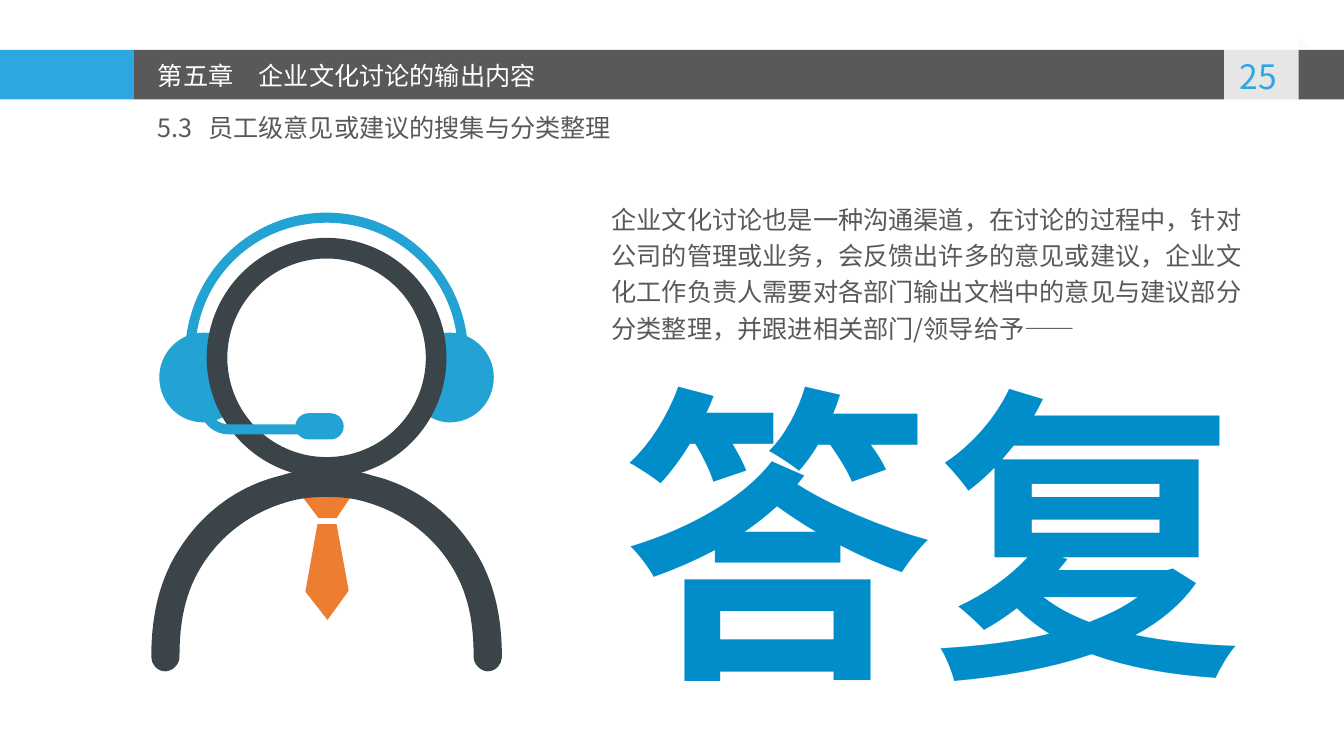
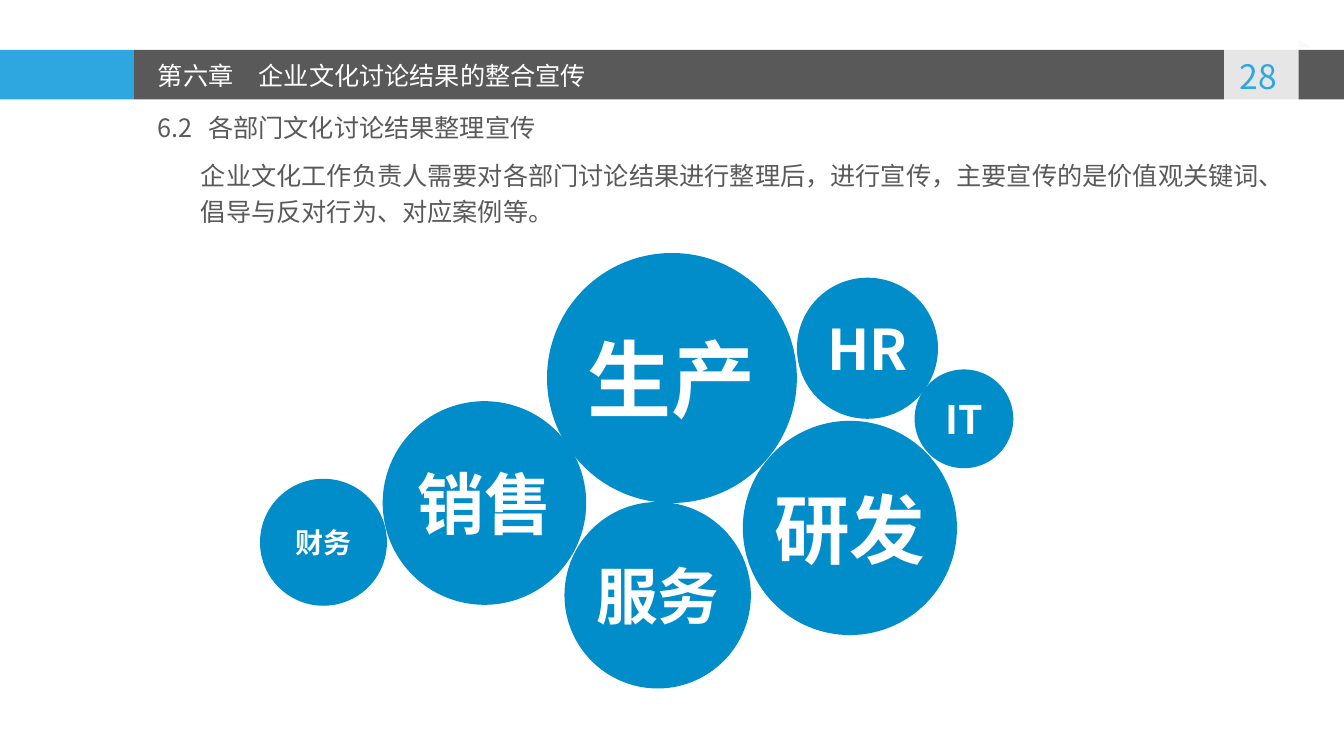
from lxml import etree
from pptx import Presentation
from pptx.dml.color import RGBColor
from pptx.enum.shapes import MSO_SHAPE
from pptx.enum.text import MSO_ANCHOR, MSO_AUTO_SIZE, PP_ALIGN
from pptx.oxml.ns import qn
from pptx.util import Inches, Pt

RECT, OVAL = MSO_SHAPE.RECTANGLE, MSO_SHAPE.OVAL
ROUND, DONUT = MSO_SHAPE.ROUNDED_RECTANGLE, MSO_SHAPE.DONUT
TRIANGLE = MSO_SHAPE.RIGHT_TRIANGLE
LEFT, CENTER = PP_ALIGN.LEFT, PP_ALIGN.CENTER
TOP, MIDDLE = MSO_ANCHOR.TOP, MSO_ANCHOR.MIDDLE
NO_FIT = MSO_AUTO_SIZE.NONE

FONT = "Noto Sans CJK SC"
COLORS = {
    "accent": "2EA7E0", "bar": "595959", "text": "595959", "white": "FFFFFF",
    "corner": "F8F8F8", "blue": "008DCA", "headset": "23A3D4",
    "body": "3B4449", "tie": "ED7D31",
}
W, H = Inches(13.34), Inches(7.5)
COL, ROW = W / 40, H / 30
UNIT = H / 750
AXIS, CROWN = 9.72 * COL, 8.44 * ROW
BAND_TOP, BAND_HEIGHT, BAND_SPLIT = 1.98, 1.96, 3.99

BUBBLES = [
    ("生产", 16.28, 10.04, 9.92, 60),
    ("研发", 22.11, 16.7, 8.5, 54),
    ("服务", 16.8, 19.92, 7.4, 44),
    ("销售", 11.39, 15.92, 8.08, 48),
    ("HR", 23.72, 11.02, 5.6, 40),
    ("财务", 7.74, 19, 5.04, 20),
    ("IT", 27.22, 14.66, 3.92, 28),
]

HEADBAND = [
    (0, 0), (-74, 0, -134, 57, -140, 130), (-130, 130),
    (-125, 62, -69, 10, 0, 10),
]
EARPHONE = [
    (-108, 153), (-108, 140, -114, 132, -107, 122),
    (-111, 120, -116, 119, -122, 119), (-147, 119, -166, 140, -166, 163),
    (-166, 188, -147, 208, -122, 208), (-114, 208, -106, 205, -100, 201),
    (-103, 190, -108, 170, -108, 153),
]
SHOULDER = [
    (0, 254), (-16, 254, -31, 256, -46, 261),
    (-88, 271, -124, 298, -147, 335), (-168, 368, -174, 405, -174, 441),
    (-174, 448, -168, 455, -160, 455), (-153, 455, -146, 448, -146, 441),
    (-146, 407, -141, 377, -123, 349), (-104, 319, -74, 297, -39, 287),
    (-26, 283, -13, 282, 0, 282),
]
TIE = [(-9, 309), (-21, 376), (1, 404), (22, 375), (10, 309)]
KNOT = [
    (-6, 276), (-12, 276, -18, 276, -24, 274), (-24, 282), (-8, 303),
    (10, 303), (24, 282), (24, 270), (15, 274, 5, 276, -6, 276),
]
BOOM = [
    (-97, 220), (-112, 220, -124, 209, -126, 195), (-116, 194),
    (-115, 203, -107, 210, -97, 210), (-25, 210), (-25, 220),
]


def grid(left, top, width, height):
    return (round(left * COL), round(top * ROW),
            round(width * COL), round(height * ROW))


def rgb(color):
    return RGBColor.from_string(COLORS[color])


def paint(sp, color, opacity=None):
    sp.shadow.inherit = False
    sp.fill.solid()
    sp.fill.fore_color.rgb = rgb(color)
    sp.line.fill.background()
    if opacity:
        clr = sp.element.spPr.find(".//" + qn("a:srgbClr"))
        etree.SubElement(clr, qn("a:alpha"), val=str(opacity * 1000))
    return sp


def add_shape(slide, kind, box, color, opacity=None):
    return paint(slide.shapes.add_shape(kind, *box), color, opacity)


def pairs(seg):
    return list(zip(seg[::2], seg[1::2]))


def add_outline(slide, path, place, color, opacity=None):
    segments = [[place(x, y) for x, y in pairs(seg)] for seg in path]
    builder = slide.shapes.build_freeform(*segments[0][0])
    builder.add_line_segments([seg[-1] for seg in segments[1:]], close=True)
    sp = builder.convert_to_shape()
    lines = sp.element.spPr.findall(".//" + qn("a:lnTo"))
    curves = [seg for seg in segments[1:]]
    for line, seg in zip(lines, curves):
        if len(seg) == 3:
            line.tag = qn("a:cubicBezTo")
            for i, (x, y) in enumerate(seg[:2]):
                pt = line.makeelement(qn("a:pt"), x=str(x - sp.left),
                                      y=str(y - sp.top))
                line.insert(i, pt)
    return paint(sp, color, opacity)


def mirror(path):
    ends = [seg[-2:] for seg in path]
    reverse = [(-ends[-1][0], ends[-1][1])]
    for seg, start in reversed(list(zip(path[1:], ends))):
        points = pairs(seg)[-2::-1] + [start]
        reverse.append(tuple(v for x, y in points for v in (-x, y)))
    return reverse


def write(sp, text, size, color, bold=False, align=LEFT, anchor=TOP,
          wrap=True, spacing=1, tab=None):
    tf = sp.text_frame
    tf.text = text
    tf.word_wrap = wrap
    tf.auto_size = NO_FIT
    tf.vertical_anchor = anchor
    p = tf.paragraphs[0]
    pPr = p._p.get_or_add_pPr()
    pPr.set("marL", "0")
    pPr.set("indent", "0")
    etree.SubElement(pPr, qn("a:buNone"))
    if tab:
        tabs = etree.SubElement(pPr, qn("a:tabLst"))
        etree.SubElement(tabs, qn("a:tab"), pos=str(Inches(tab)), algn="l")
    p.alignment = align
    p.line_spacing = spacing
    p.space_before = Pt(0)
    for r in p.runs:
        r.font.size = Pt(size)
        r.font.bold = bold
        r.font.name = FONT
        r.font.color.rgb = rgb(color)
        etree.SubElement(r.font._element, qn("a:ea"), typeface=FONT)


def add_text(slide, box, text, size, color, **style):
    write(slide.shapes.add_textbox(*box), text, size, color, **style)


def fill_placeholder(sp, box, text, size, color, **style):
    sp.left, sp.top, sp.width, sp.height = box
    write(sp, text, size, color, **style)


def add_frame(slide, layout):
    def place(x, y):
        return round(x * COL), round(y * ROW)

    tab = [(36.43, 1.6), (38.65, 1.6), (38.65, 4.36), (37.51, 4.12),
           (36.43, 4.36)]
    parts = [
        add_shape(slide, RECT, grid(0, BAND_TOP, BAND_SPLIT, BAND_HEIGHT),
                  "accent"),
        add_shape(slide, RECT, grid(BAND_SPLIT, BAND_TOP, 40 - BAND_SPLIT,
                                    BAND_HEIGHT), "bar"),
        add_shape(slide, TRIANGLE, grid(38.65, 1.56, 0.36, 0.32),
                  "corner", 83),
        add_outline(slide, tab, place, "white", 85),
    ]
    for number, sp in enumerate(parts, 20):
        sp.element.nvSpPr.cNvPr.set("id", str(number))
        layout.shapes.element.append(sp.element)


def add_headings(slide, number, chapter, section, body, body_box):
    fill_placeholder(slide.shapes.title, grid(4.4, 2.2, 15.11, 1.6),
                     chapter, 18, "white", tab=0.95)
    fill_placeholder(slide.placeholders[1], body_box, body, 18, "text",
                     spacing=1.2)
    add_text(slide, grid(4.4, 4.26, 15.92, 1.6), section, 18, "text",
             tab=0.53)
    add_text(slide, grid(36.34, 2.04, 2.22, 3.96), number, 24, "accent",
             align=CENTER)


def add_agent(slide):
    def place(x, y):
        return round(AXIS + x * UNIT), round(CROWN + y * UNIT)

    def outline(path, color):
        add_outline(slide, path, place, color)

    def preset(kind, x, y, width, height, color, adjust):
        box = (*place(x, y), round(width * UNIT), round(height * UNIT))
        add_shape(slide, kind, box, color).adjustments[0] = adjust

    outline(EARPHONE, "headset")
    outline(mirror(EARPHONE), "headset")
    outline(TIE, "tie")
    outline(KNOT, "tie")
    preset(DONUT, -119, 25, 238, 238, "body", 20.5 / 238)
    outline(HEADBAND + mirror(HEADBAND)[1:], "headset")
    outline(SHOULDER + mirror(SHOULDER)[1:], "body")
    preset(ROUND, -31, 199, 48, 26, "headset", 0.5)
    outline(BOOM, "headset")


def add_bubble(slide, text, left, top, diameter, size):
    side = round(diameter * ROW)
    sp = add_shape(slide, OVAL,
                   (round(left * COL), round(top * ROW), side, side), "blue")
    tf = sp.text_frame
    tf.margin_left = tf.margin_right = tf.margin_top = tf.margin_bottom = 0
    write(sp, text, size, "white", bold=True, align=CENTER, anchor=MIDDLE)


def main():
    prs = Presentation()
    prs.slide_width, prs.slide_height = W, H
    layout = prs.slide_layouts[1]

    reply = prs.slides.add_slide(layout)
    add_frame(reply, layout)
    add_headings(
        reply, "25", "第五章\t企业文化讨论的输出内容",
        "5.3\t员工级意见或建议的搜集与分类整理",
        "企业文化讨论也是一种沟通渠道，在讨论的过程中，针对公司的管理或业务，"
        "会反馈出许多的意见或建议，企业文化工作负责人需要对各部门输出文档中的"
        "意见与建议部分分类整理，并跟进相关部门/领导给予——",
        grid(17.9, 7.66, 19.91, 6.16))
    add_agent(reply)
    add_text(reply, grid(18.23, 13.4, 19.07, 15.2), "答复", 222, "blue",
             bold=True, wrap=False)

    publicity = prs.slides.add_slide(layout)
    add_headings(
        publicity, "28", "第六章\t企业文化讨论结果的整合宣传",
        "6.2\t各部门文化讨论结果整理宣传",
        "企业文化工作负责人需要对各部门讨论结果进行整理后，进行宣传，"
        "主要宣传的是价值观关键词、倡导与反对行为、对应案例等。",
        grid(5.68, 5.92, 32.95, 3.28))
    for bubble in BUBBLES:
        add_bubble(publicity, *bubble)

    prs.save("out.pptx")


if __name__ == "__main__":
    main()
